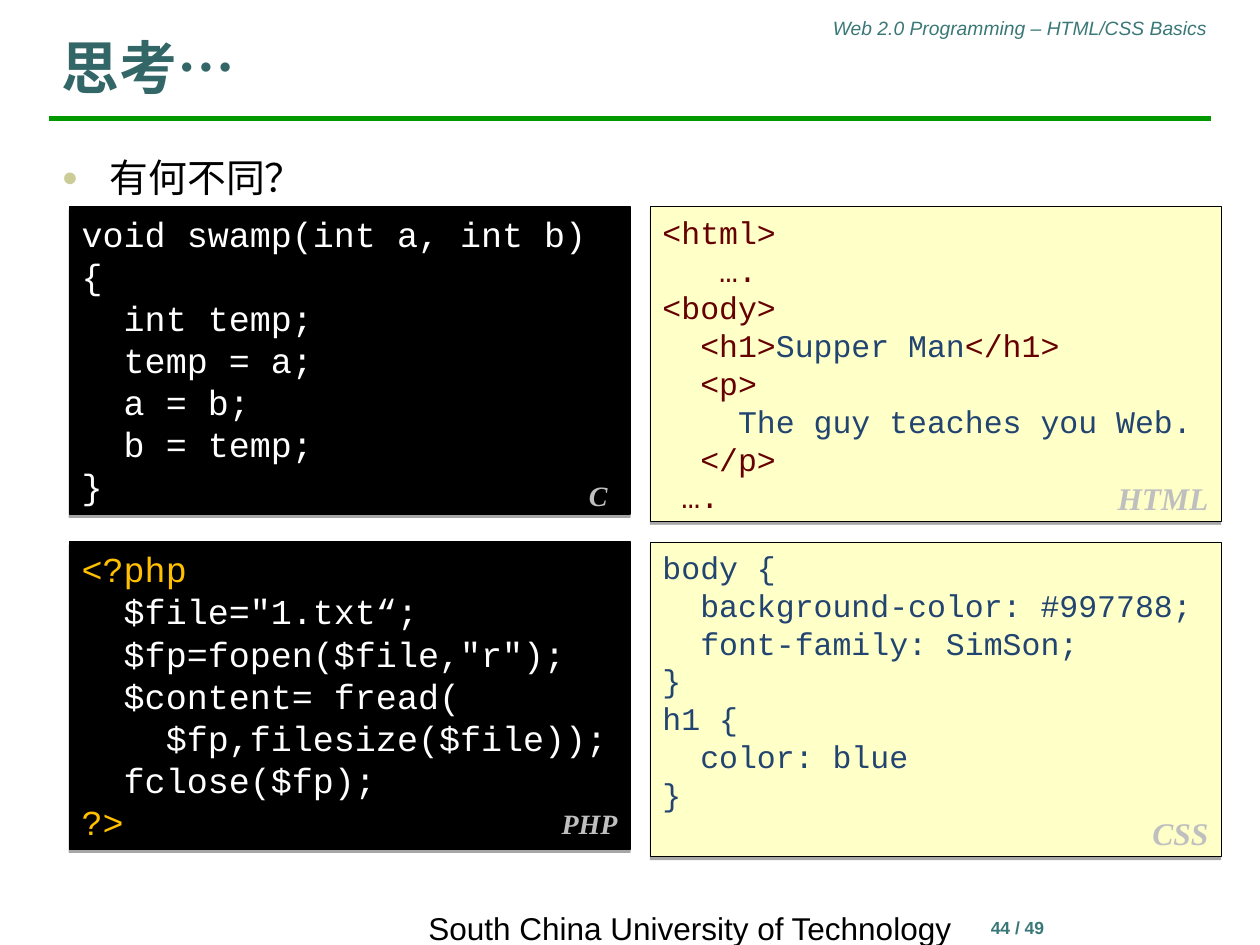
import pptx
import pptx.util
import pptx.dml.color
import pptx.enum.shapes
import pptx.enum.text
import pptx.oxml
import pptx.oxml.ns

Inches = pptx.util.Inches
Pt = pptx.util.Pt
Align = pptx.enum.text.PP_ALIGN
Anchor = pptx.enum.text.MSO_ANCHOR

COLORS = {
    "rule": "009900", "header": "3A7877", "title": "336666", "bullet": "CCCC99",
    "black": "000000", "white": "FFFFFF", "cream": "FFFFC8",
    "tag": "660000", "content": "224470", "php": "FFC000", "label": "BFBFBF",
}

TITLE = "思考…"
QUESTION = "有何不同？"
HEADER = "Web 2.0 Programming – HTML/CSS Basics"
SCHOOL = "South China University of Technology"
PAGE_NUMBER = "44 / 49"

C_CODE = ["void swamp(int a, int b) {", "  int temp;", "  temp = a;", "  a = b;", "  b = temp;", "}"]
HTML_CODE = [
    "<html>",
    "   ….",
    "<body>",
    [("  <h1>", "tag"), ("Supper Man", "content"), ("</h1>", "tag")],
    "  <p>",
    [("    The guy teaches you Web.", "content")],
    "  </p>",
    " ….",
]
PHP_CODE = [
    [("<?php", "php")],
    '  $file="1.txt“;',
    '  $fp=fopen($file,"r");',
    "  $content= fread(",
    "    $fp,filesize($file));",
    "  fclose($fp);",
    [("?>", "php")],
]
CSS_CODE = ["body {", "  background-color: #997788;", "  font-family: SimSon;", "}", "h1 {", "  color: blue", "}"]

ROW_TOPS = [1.64, 4.3]
COLUMNS = [
    {"left": 0.55, "width": 4.45, "height": 2.44, "fill": "black", "line": 0.75,
     "size": 20, "label_size": 16, "label_height": 0.37},
    {"left": 5.16, "width": 4.53, "height": 2.5, "fill": "cream", "line": 0.25,
     "size": 18, "label_size": 18, "label_height": 0.4},
]
PANELS = [
    (0, 0, "C", C_CODE, "white", (-0.08, 0.04)),
    (0, 1, "HTML", HTML_CODE, "tag", (0, 0.01)),
    (1, 0, "PHP", PHP_CODE, "white", (0, -0.02)),
    (1, 1, "CSS", CSS_CODE, "content", (0, 0.01)),
]
LABEL_WIDTH = 0.94

SHADOW = (
    '<a:effectLst %s><a:outerShdw dist="22860" dir="5400000" rotWithShape="0">'
    '<a:srgbClr val="000000"><a:alpha val="35000"/></a:srgbClr>'
    '</a:outerShdw></a:effectLst>' % pptx.oxml.ns.nsdecls("a")
)


def rgb(name):
    return pptx.dml.color.RGBColor.from_string(COLORS[name])


def place(shape, left, top, width, height):
    shape.left, shape.top = Inches(left), Inches(top)
    shape.width, shape.height = Inches(width), Inches(height)


def write(shape, lines, size=18, font="Arial", color="black", bold=False, italic=False,
          align=Align.LEFT, anchor=Anchor.TOP):
    frame = shape.text_frame
    frame.word_wrap = True
    frame.auto_size = pptx.enum.text.MSO_AUTO_SIZE.NONE
    frame.vertical_anchor = anchor
    for index, line in enumerate(lines):
        para = frame.paragraphs[0] if index == 0 else frame.add_paragraph()
        para.alignment = align
        para.space_before = Pt(0)
        for text, tint in [(line, color)] if isinstance(line, str) else line:
            span = para.add_run()
            span.text = text
            span.font.name = font
            span.font.size = Pt(size)
            span.font.bold = bold
            span.font.italic = italic
            span.font.color.rgb = rgb(tint)


def add_text(page, left, top, width, height, text, **style):
    box = page.shapes.add_textbox(Inches(left), Inches(top), Inches(width), Inches(height))
    write(box, [text], **style)


def add_bullet(para):
    props = para._p.get_or_add_pPr()
    props.set("marL", str(Inches(0.38)))
    props.set("indent", str(-Inches(0.38)))
    for tag, value in (
        ("buClr", '<a:srgbClr val="%s"/>' % COLORS["bullet"]),
        ("buSzPct", 'val="70000"'),
        ("buChar", 'char="●"'),
    ):
        pattern = "<a:%s %s>%s</a:%s>" if value.startswith("<") else "<a:%s %s %s></a:%s>"
        props.append(pptx.oxml.parse_xml(pattern % (tag, pptx.oxml.ns.nsdecls("a"), value, tag)))


def add_panel(page, row, column, label, code, color, nudge):
    grid = COLUMNS[column]
    left, top, width, height = grid["left"], ROW_TOPS[row], grid["width"], grid["height"]
    panel = page.shapes.add_shape(pptx.enum.shapes.MSO_SHAPE.RECTANGLE, 0, 0, 0, 0)
    place(panel, left, top, width, height)
    panel.fill.solid()
    panel.fill.fore_color.rgb = rgb(grid["fill"])
    panel.line.color.rgb = rgb("black")
    panel.line.width = Pt(grid["line"])
    panel._element.spPr.append(pptx.oxml.parse_xml(SHADOW))
    write(panel, code, size=grid["size"], font="Courier New", color=color)
    add_text(page, left + width - LABEL_WIDTH + nudge[0],
             top + height - grid["label_height"] + nudge[1],
             LABEL_WIDTH, grid["label_height"], label, size=grid["label_size"],
             font="Times New Roman", color="label", bold=True, italic=True, align=Align.RIGHT)


def main():
    deck = pptx.Presentation()
    deck.slide_width, deck.slide_height = Inches(10), Inches(7.5)
    page = deck.slides.add_slide(deck.slide_layouts[1])

    rule = page.shapes.add_connector(pptx.enum.shapes.MSO_CONNECTOR.STRAIGHT,
                                     Inches(0.39), Inches(0.94), Inches(9.61), Inches(0.94))
    rule.line.color.rgb = rgb("rule")
    rule.line.width = Pt(3)
    rule._element.spPr.append(
        pptx.oxml.parse_xml("<a:effectLst %s/>" % pptx.oxml.ns.nsdecls("a")))

    add_text(page, 5.31, 0.08, 4.37, 0.29, HEADER, size=11, color="header",
             italic=True, align=Align.RIGHT)
    add_text(page, 6.95, 7.23, 2.25, 0.5, PAGE_NUMBER, size=10, color="header",
             bold=True, align=Align.CENTER)
    add_text(page, 3.19, 7.23, 4.57, 0.27, SCHOOL, align=Align.CENTER, anchor=Anchor.MIDDLE)

    title = page.shapes.title
    place(title, 0.39, 0.15, 9.22, 0.7)
    write(title, [TITLE], size=33, font="Montserrat", color="title", bold=True,
          anchor=Anchor.BOTTOM)

    body = page.placeholders[1]
    place(body, 0.39, 1.17, 9.22, 0.47)
    add_bullet(body.text_frame.paragraphs[0])
    write(body, [QUESTION], size=22.2)

    for panel in PANELS:
        add_panel(page, *panel)

    deck.save("out.pptx")


if __name__ == "__main__":
    main()
